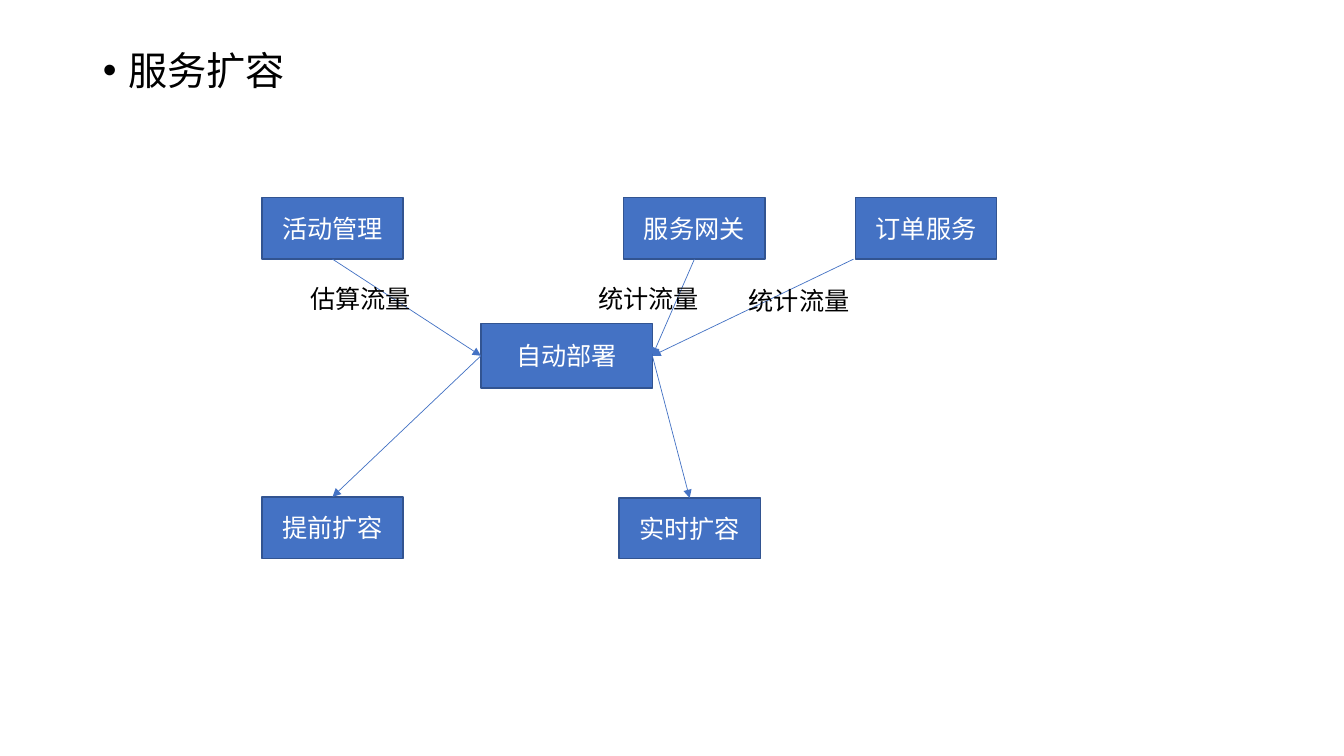
from dataclasses import dataclass
from typing import Optional

import pptx
import pptx.dml.color
import pptx.enum.shapes
import pptx.enum.text
import pptx.oxml
import pptx.oxml.ns
import pptx.util
from pptx.util import Cm, Pt

FONT = "Noto Sans CJK SC"
BLUE = pptx.dml.color.RGBColor(0x44, 0x72, 0xC4)
DARK_BLUE = pptx.dml.color.RGBColor(0x32, 0x54, 0x91)
WHITE = pptx.dml.color.RGBColor(0xFF, 0xFF, 0xFF)
BLACK = pptx.dml.color.RGBColor(0x00, 0x00, 0x00)
TOP, LEFT, BOTTOM, RIGHT = range(4)


@dataclass(frozen=True)
class Box:
    text: str
    left: float
    top: float
    width: float = 3.56
    height: float = 1.55


@dataclass(frozen=True)
class Label:
    text: str
    left: float
    top: float
    width: float
    wrap: bool = True


@dataclass(frozen=True)
class Arrow:
    start: str
    start_side: Optional[int]
    end: str
    end_side: int


BOXES = [
    Box("活动管理", 6.6, 4.98),
    Box("自动部署", 12.12, 8.15, 4.32, 1.63),
    Box("服务网关", 15.72, 4.98),
    Box("订单服务", 21.56, 4.98),
    Box("提前扩容", 6.6, 12.52),
    Box("实时扩容", 15.6, 12.55, height=1.52),
]
ARROWS = [
    Arrow("活动管理", BOTTOM, "自动部署", LEFT),
    Arrow("自动部署", LEFT, "提前扩容", TOP),
    Arrow("服务网关", BOTTOM, "自动部署", RIGHT),
    Arrow("订单服务", None, "自动部署", RIGHT),
    Arrow("自动部署", RIGHT, "实时扩容", TOP),
]
LABELS = [
    Label("估算流量", 7.57, 7.01, 3.56),
    Label("统计流量", 14.83, 7.01, 3.33),
    Label("统计流量", 18.62, 7.06, 3.07, wrap=False),
]


def add_element(parent, tag: str, **attributes: str):
    element = pptx.oxml.parse_xml(f"<a:{tag} {pptx.oxml.ns.nsdecls('a')}/>")
    for name, value in attributes.items():
        element.set(name, value)
    parent.append(element)


def write_text(shape, text: str, size: float, color: pptx.dml.color.RGBColor):
    shape.text_frame.text = text
    paragraph = shape.text_frame.paragraphs[0]
    for run in paragraph.runs:
        run.font.size = Pt(size)
        run.font.color.rgb = color
        run.font.name = FONT
        add_element(run.font._element, "ea", typeface=FONT)
    return paragraph


def format_heading(shape) -> None:
    shape.left, shape.top = Cm(2.34), Cm(1.17)
    shape.width, shape.height = Cm(29.21), Cm(16)
    paragraph = write_text(shape, "服务扩容", 28, BLACK)
    shape.text_frame.vertical_anchor = pptx.enum.text.MSO_ANCHOR.TOP
    shape.text_frame.auto_size = pptx.enum.text.MSO_AUTO_SIZE.NONE
    paragraph.alignment = pptx.enum.text.PP_ALIGN.LEFT
    paragraph.line_spacing = 0.9
    paragraph.space_before = Pt(10)
    properties = paragraph._p.get_or_add_pPr()
    indent = Cm(0.64)
    properties.set("marL", str(indent))
    properties.set("indent", str(-indent))
    add_element(properties, "buFont", typeface="Arial")
    add_element(properties, "buChar", char="•")


def add_box(slide, box: Box):
    shape = slide.shapes.add_shape(
        pptx.enum.shapes.MSO_SHAPE.RECTANGLE,
        Cm(box.left), Cm(box.top), Cm(box.width), Cm(box.height),
    )
    shape.shadow.inherit = False
    shape.fill.solid()
    shape.fill.fore_color.rgb = BLUE
    shape.line.color.rgb = DARK_BLUE
    shape.line.width = Pt(1)
    paragraph = write_text(shape, box.text, 18, WHITE)
    paragraph.alignment = pptx.enum.text.PP_ALIGN.CENTER
    shape.text_frame.vertical_anchor = pptx.enum.text.MSO_ANCHOR.MIDDLE
    return shape


def add_arrow(slide, arrow: Arrow, shapes: dict) -> None:
    start = shapes[arrow.start]
    connector = slide.shapes.add_connector(
        pptx.enum.shapes.MSO_CONNECTOR.STRAIGHT,
        start.left - Cm(0.05), start.top + start.height, 0, 0,
    )
    if arrow.start_side is not None:
        connector.begin_connect(start, arrow.start_side)
    connector.end_connect(shapes[arrow.end], arrow.end_side)
    connector.line.color.rgb = BLUE
    connector.line.width = Pt(0.5)
    add_element(connector.line._get_or_add_ln(), "tailEnd", type="triangle")
    add_element(connector._element.spPr, "effectLst")


def add_label(slide, label: Label) -> None:
    shape = slide.shapes.add_textbox(
        Cm(label.left), Cm(label.top), Cm(label.width), Cm(1.02)
    )
    write_text(shape, label.text, 18, BLACK)
    shape.text_frame.word_wrap = label.wrap
    shape.text_frame.auto_size = pptx.enum.text.MSO_AUTO_SIZE.SHAPE_TO_FIT_TEXT


def main() -> None:
    presentation = pptx.Presentation()
    presentation.slide_width = Cm(33.87)
    presentation.slide_height = Cm(19.05)
    slide = presentation.slides.add_slide(
        presentation.slide_layouts.get_by_name("Title Only")
    )
    format_heading(slide.shapes.title)
    shapes = {box.text: add_box(slide, box) for box in BOXES}
    for arrow in ARROWS:
        add_arrow(slide, arrow, shapes)
    for label in LABELS:
        add_label(slide, label)
    presentation.save("out.pptx")


if __name__ == "__main__":
    main()
